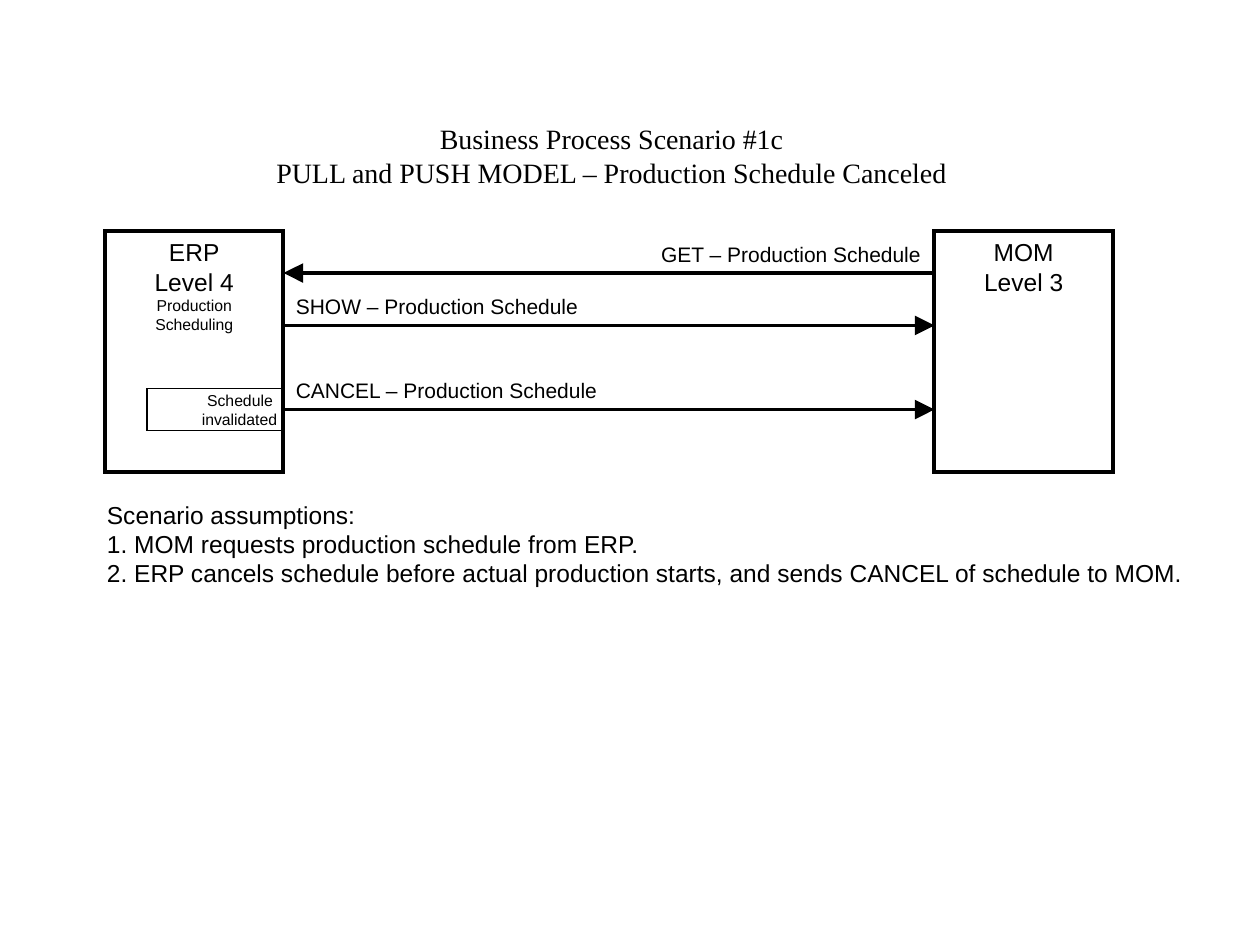
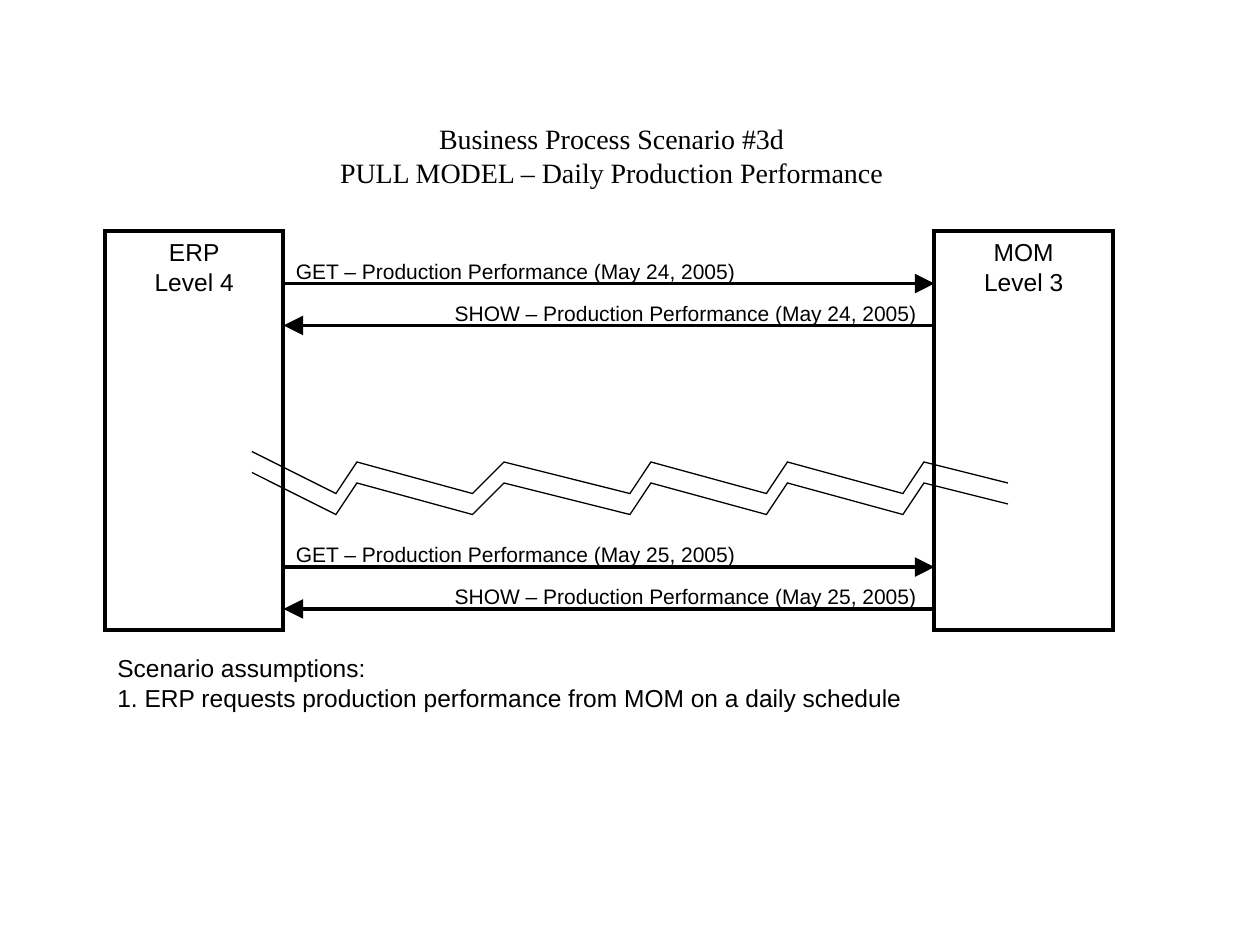
from lxml.etree import SubElement
from pptx import Presentation
from pptx.dml.color import RGBColor
from pptx.enum.shapes import MSO_CONNECTOR, MSO_SHAPE
from pptx.enum.text import MSO_ANCHOR as Anchor, MSO_AUTO_SIZE as AutoSize, PP_ALIGN as Align
from pptx.oxml.ns import qn
from pptx.util import Inches, Pt

BLACK = RGBColor(0, 0, 0)
WHITE = RGBColor(255, 255, 255)
SANS, SERIF = "Arial", "Times New Roman"
CELL = Inches(1) // 12
COLUMNS, ROWS = 120, 90
THICK, THIN = 2.24, 0.74
SYSTEM_WIDTH = 17
TITLE_CENTER = 58.25
BREAK_POINTS = [(8, 4), (10, 1), (21, 4), (24, 1), (36, 4), (38, 1),
                (49, 4), (51, 1), (62, 4), (64, 1), (72, 3)]


def grid(*cells):
    """Convert grid cells to slide lengths."""
    return [round(cell * CELL) for cell in cells]


def write(shape, lines, size=14, font=SANS, align=Align.LEFT, anchor=Anchor.TOP,
          wrap=True, grow=False, side=0.1):
    """Write (text, size) pairs or plain strings as paragraphs of a shape."""
    frame = shape.text_frame
    frame.word_wrap = wrap
    frame.auto_size = AutoSize.SHAPE_TO_FIT_TEXT if grow else AutoSize.NONE
    frame.vertical_anchor = anchor
    frame.margin_left = frame.margin_right = Inches(side)
    frame.margin_top = frame.margin_bottom = Inches(0.05)
    for index, line in enumerate(lines):
        text, points = line if isinstance(line, tuple) else (line, size)
        paragraph = frame.add_paragraph() if index else frame.paragraphs[0]
        paragraph.alignment = align
        run = paragraph.add_run()
        run.text = text
        run.font.size = Pt(points)
        run.font.name = font
        run.font.color.rgb = BLACK


def add_text(slide, box, lines, **style):
    """Add a text box on the grid."""
    write(slide.shapes.add_textbox(*grid(*box)), lines, **style)


def outline(shape, width):
    """Give a shape or line a black outline with sharp corners."""
    shape.line.color.rgb = BLACK
    shape.line.width = Pt(width)
    SubElement(shape.line._get_or_add_ln(), qn("a:miter"), lim="800000")


def add_box(slide, box, lines, width, fill=None, **style):
    """Add an outlined rectangle holding text."""
    shape = slide.shapes.add_shape(MSO_SHAPE.RECTANGLE, *grid(*box))
    shape.shadow.inherit = False
    if fill is None:
        shape.fill.background()
    else:
        shape.fill.solid()
        shape.fill.fore_color.rgb = fill
    outline(shape, width)
    write(shape, lines, **style)


def add_title(slide, lines, width):
    """Add the centred two-line title."""
    add_text(slide, (TITLE_CENTER - width / 2, 11, width, 7.7), lines, size=16,
             font=SERIF, align=Align.CENTER, wrap=False, grow=True)


def add_message(slide, box, text, text_width, to_left, rise, inset):
    """Add an arrow across the top of a box with its label raised above it."""
    left, top, width, _ = box
    start_x, y, end_x = grid(left, top, left + width)
    arrow = slide.shapes.add_connector(MSO_CONNECTOR.STRAIGHT, start_x, y, end_x, y)
    outline(arrow, THICK)
    end = "a:headEnd" if to_left else "a:tailEnd"
    SubElement(arrow.line._get_or_add_ln(), qn(end), type="triangle", w="lg", len="lg")
    SubElement(arrow._element.spPr, qn("a:effectLst"))
    text_left = left + width - inset - text_width if to_left else left
    add_text(slide, (text_left, top - rise, text_width, 3.6), [text], size=12,
             align=Align.RIGHT if to_left else Align.LEFT, wrap=False, grow=True)


def add_exchange(slide, box, erp_lines, messages, rise, inset):
    """Add the two systems at the ends of a box and the messages between them."""
    left, top, width, height = box
    mom_left = left + width - SYSTEM_WIDTH
    for x, lines in ((left, erp_lines), (mom_left, ["MOM", "Level 3"])):
        add_box(slide, (x, top, SYSTEM_WIDTH, height), lines, THICK, fill=WHITE,
                align=Align.CENTER)
    gap_left = left + SYSTEM_WIDTH
    for row, text, text_width, to_left in messages:
        add_message(slide, (gap_left, top + row, mom_left - gap_left, 0),
                    text, text_width, to_left, rise, inset)


def add_time_break(slide, left, top):
    """Add the double zigzag that marks elapsed time."""
    for offset in (0, 2):
        builder = slide.shapes.build_freeform(0, 0, scale=CELL)
        builder.add_line_segments(BREAK_POINTS, close=False)
        zigzag = builder.convert_to_shape(*grid(left, top + offset))
        zigzag.shadow.inherit = False
        zigzag.fill.background()
        outline(zigzag, THIN)


def build_cancel_slide(slide):
    """Build the canceled schedule scenario."""
    add_title(slide, ["Business Process Scenario #1c",
                      "PULL and PUSH MODEL – Production Schedule Canceled"], 66.5)
    add_exchange(slide, (10, 22, 96, 23),
                 ["ERP", "Level 4", ("Production Scheduling", 9)],
                 [(4, "GET – Production Schedule", 27.5, True),
                  (9, "SHOW – Production Schedule", 29.5, False),
                  (17, "CANCEL – Production Schedule", 31.5, False)],
                 rise=3.6, inset=0.1)
    add_box(slide, (14, 37, 13, 4), ["Schedule ", "invalidated"], THIN, size=9,
            align=Align.RIGHT, anchor=Anchor.MIDDLE, wrap=False, side=0.05)
    add_text(slide, (9, 47, 105, 12), [
        "Scenario assumptions: ",
        "1. MOM requests production schedule from ERP.",
        "2. ERP cancels schedule before actual production starts, "
        "and sends CANCEL of schedule to MOM."])


def build_daily_slide(slide):
    """Build the daily performance scenario."""
    add_title(slide, ["Business Process Scenario #3d",
                      "PULL MODEL – Daily Production Performance"], 54.4)
    messages = []
    for row, day in ((5, 24), (32, 25)):
        subject = f"Production Performance (May {day}, 2005)"
        messages += [(row, f"GET – {subject}", 44.5, False),
                     (row + 4, f"SHOW – {subject}", 46.5, True)]
    add_exchange(slide, (10, 22, 96, 38), ["ERP", "Level 4"], messages,
                 rise=3, inset=0.5)
    add_time_break(slide, 24, 43)
    add_text(slide, (10, 61, 96, 8), [
        "Scenario assumptions: ",
        "1. ERP requests production performance from MOM on a daily schedule"],
        anchor=Anchor.MIDDLE)


presentation = Presentation()
presentation.slide_width, presentation.slide_height = grid(COLUMNS, ROWS)
for build in (build_cancel_slide, build_daily_slide):
    build(presentation.slides.add_slide(presentation.slide_layouts[6]))
presentation.save("out.pptx")
